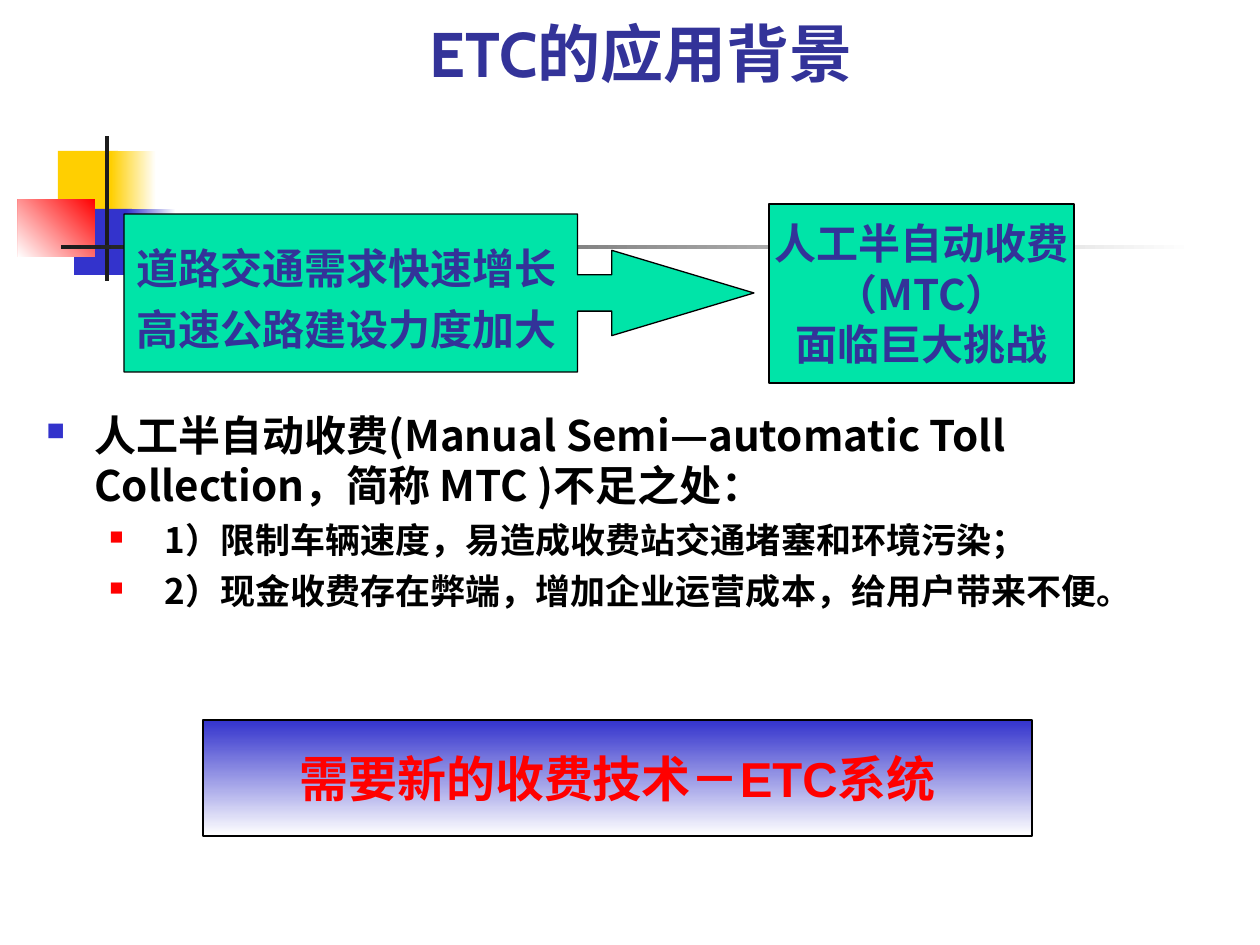
from lxml import etree
from pptx import Presentation
from pptx import util as u
from pptx.dml.color import RGBColor
from pptx.enum import shapes, text
from pptx.oxml import ns

PX = 914400 / 126
CJK = "Noto Sans CJK SC"
WHITE = RGBColor(0xFF, 0xFF, 0xFF)
BLACK = RGBColor(0x00, 0x00, 0x00)
CHARCOAL = RGBColor(0x1C, 0x1C, 0x1C)
YELLOW = RGBColor(0xFF, 0xCF, 0x01)
BLUE = RGBColor(0x33, 0x33, 0xCC)
NAVY = RGBColor(0x33, 0x33, 0x99)
RED = RGBColor(0xFF, 0x00, 0x00)
GREEN = RGBColor(0x00, 0xE4, 0xA8)


def px(length):
    return u.Emu(round(length * PX))


def add_child(parent, tag, **attributes):
    child = etree.SubElement(parent, ns.qn(tag))
    for name, value in attributes.items():
        child.set(name, str(value))
    return child


def write(para, wording, font=CJK, size=24, color=BLACK, align=text.PP_ALIGN.LEFT,
          before=0, spacing=None):
    """Write bold text into a paragraph."""
    span = para.add_run()
    span.text = wording
    span.font.name = font
    span.font.size = u.Pt(size)
    span.font.bold = True
    span.font.color.rgb = color
    add_child(span.font._element, "a:ea", typeface=CJK)
    para.alignment = align
    if before:
        para.space_before = u.Pt(before)
    if spacing:
        para.line_spacing = spacing


def write_lines(frame, lines, **style):
    for index, line in enumerate(lines):
        para = frame.add_paragraph() if index else frame.paragraphs[0]
        write(para, line, **style)


def add_bullet(para, color, percent, margin, hanging):
    props = para._p.get_or_add_pPr()
    props.set("marL", str(px(margin)))
    props.set("indent", str(-px(hanging)))
    add_child(add_child(props, "a:buClr"), "a:srgbClr", val=color)
    add_child(props, "a:buSzPct", val=percent * 1000)
    add_child(props, "a:buChar", char="■")


def add_block(page, box, color, fade=None, outlined=False,
              kind=shapes.MSO_SHAPE.RECTANGLE):
    """Add a filled shape; fade is the angle of a gradient to white."""
    block = page.shapes.add_shape(kind, *map(px, box))
    block.shadow.inherit = False
    if fade is None:
        block.fill.solid()
        block.fill.fore_color.rgb = color
    else:
        block.fill.gradient()
        block.fill.gradient_angle = fade
        for stop, shade in zip(block.fill.gradient_stops, (color, WHITE)):
            stop.color.rgb = shade
    if outlined:
        block.line.color.rgb = BLACK
        block.line.width = u.Pt(0.75)
    else:
        block.line.fill.background()
    return block


def label_block(block, lines, **style):
    frame = block.text_frame
    frame.word_wrap = False
    frame.vertical_anchor = text.MSO_ANCHOR.MIDDLE
    write_lines(frame, lines, **style)


def add_text_box(page, box, anchor):
    frame = page.shapes.add_textbox(*map(px, box)).text_frame
    frame.word_wrap = True
    frame.vertical_anchor = anchor
    return frame


def draw_ornament(page, box):
    left, top, width, height = box
    parts = [
        ((40, 15, 60, 66), YELLOW, None),
        ((93, 15, 45, 66), YELLOW, 0),
        ((56, 73, 58, 66), BLUE, None),
        ((108, 73, 50, 66), BLUE, 0),
        ((0, 63, 77, 58), RED, 225),
        ((87, 0, 4, height), CHARCOAL, None),
        ((43, 109, width - 43, 4), CHARCOAL, 0),
    ]
    for (x, y, wide, high), color, fade in parts:
        add_block(page, (left + x, top + y, wide, high), color, fade)


def draw_title(page, box):
    frame = add_text_box(page, box, text.MSO_ANCHOR.MIDDLE)
    write_lines(frame, ["ETC的应用背景"], font="Cabin", size=36, color=NAVY,
                align=text.PP_ALIGN.CENTER)


def draw_causes(page, box):
    left, top, width, height = box
    # Challenge on the right
    challenge_width = 305
    challenge = add_block(page, (left + width - challenge_width, top, challenge_width, height),
                          GREEN, outlined=True)
    label_block(challenge, ["人工半自动收费", "（MTC）", "面临巨大挑战"],
                color=NAVY, align=text.PP_ALIGN.CENTER)
    # Growth callout pointing at it
    growth = add_block(page, (left, top + 10, 630, 158), GREEN, outlined=True,
                       kind=shapes.MSO_SHAPE.RIGHT_ARROW_CALLOUT)
    for index, value in enumerate((0.23, 0.27, 0.9, 0.72)):
        growth.adjustments[index] = value
    label_block(growth, ["道路交通需求快速增长", "高速公路建设力度加大"],
                font="Arial", color=NAVY, spacing=1.2)


def draw_drawbacks(page, box):
    frame = add_text_box(page, box, text.MSO_ANCHOR.TOP)
    heading = frame.paragraphs[0]
    add_bullet(heading, BLUE, 60, margin=48, hanging=48)
    write(heading, "人工半自动收费(Manual Semi—automatic Toll Collection，简称 MTC )不足之处：")
    for point in ("1）限制车辆速度，易造成收费站交通堵塞和环境污染；",
                  "2）现金收费存在弊端，增加企业运营成本，给用户带来不便。"):
        para = frame.add_paragraph()
        para.level = 1
        add_bullet(para, RED, 55, margin=118, hanging=55)
        write(para, point, size=20, before=5)


def draw_conclusion(page, box):
    banner = add_block(page, box, BLUE, fade=270, outlined=True)
    label_block(banner, ["需要新的收费技术－ETC系统"], font="Arial", size=28,
                color=RED, align=text.PP_ALIGN.CENTER)


def main():
    deck = Presentation()
    deck.slide_width, deck.slide_height = px(1260), px(945)
    page = deck.slides.add_slide(deck.slide_layouts[6])
    draw_ornament(page, (18, 136, 1176, 145))
    draw_causes(page, (124, 204, 950, 179))
    draw_conclusion(page, (203, 720, 829, 116))
    draw_title(page, (74, 0, 1134, 105))
    draw_drawbacks(page, (34, 403, 1201, 268))
    deck.save("out.pptx")


if __name__ == "__main__":
    main()
